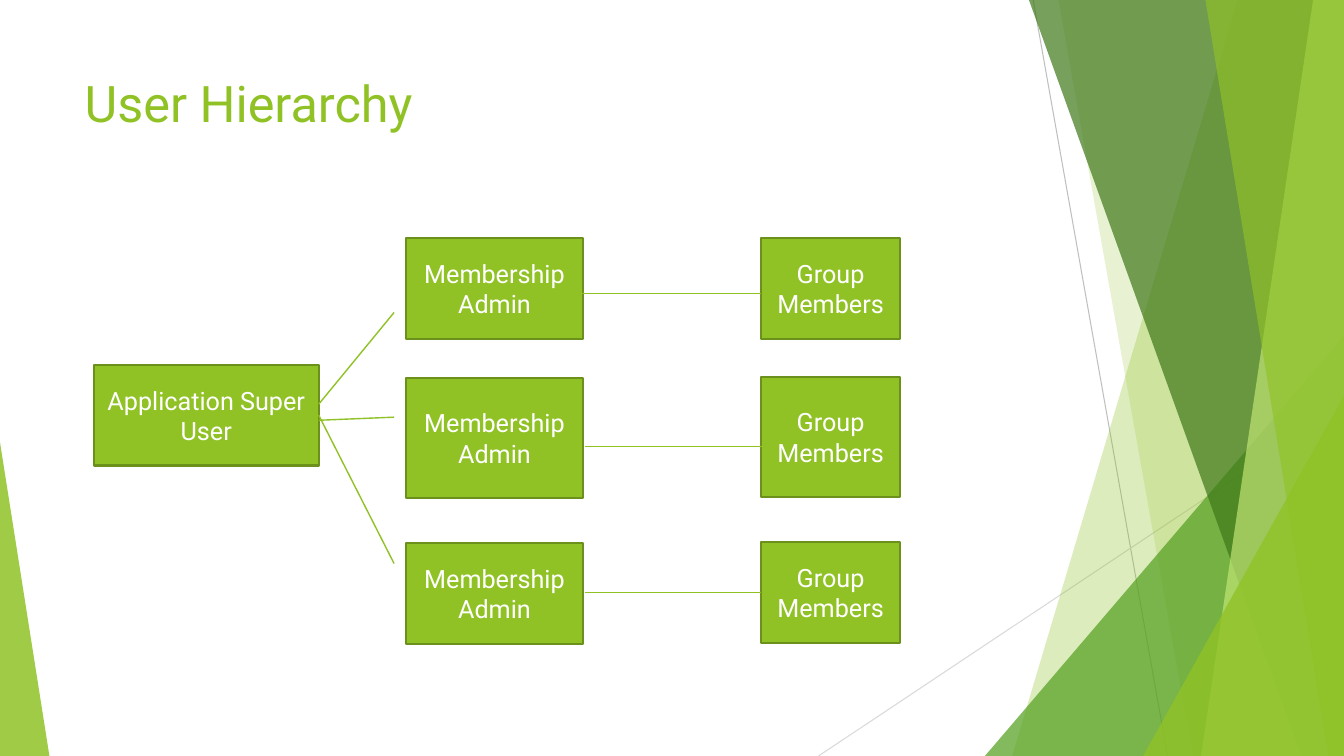
from lxml import etree
from pptx import Presentation
from pptx import util as u
from pptx.dml import color
from pptx.enum import shapes, text
from pptx.oxml import ns

GREEN = "90C226"
WIDTH, HEIGHT = 960, 540
FONT = "Roboto"


def rgb(hex_code):
    return color.RGBColor.from_string(hex_code)


def points(*values):
    return [u.Pt(value) for value in values]


def tint(facet, hex_code, opacity):
    """Fill a facet with a see-through colour and no outline."""
    facet.shadow.inherit = False
    facet.fill.solid()
    facet.fill.fore_color.rgb = rgb(hex_code)
    facet.line.fill.background()
    solid = facet.fill._xPr.find(ns.qn("a:solidFill"))
    etree.SubElement(solid[0], ns.qn("a:alpha"), val=str(opacity * 1000))


def add_line(slide, begin, end, hex_code=GREEN, weight=1):
    line = slide.shapes.add_connector(
        shapes.MSO_CONNECTOR.STRAIGHT, *points(*begin, *end))
    line.line.color.rgb = rgb(hex_code)
    line.line.width = u.Pt(weight)
    etree.SubElement(line._element.spPr, ns.qn("a:effectLst"))
    return line


def add_band(slide, top_left, bottom_left, bottom_right, hex_code, opacity):
    """Band from a slanted left side to the slide's right edge."""
    outline = slide.shapes.build_freeform(*points(top_left, 0))
    corners = [(WIDTH, 0), (bottom_right, HEIGHT), (bottom_left, HEIGHT)]
    outline.add_line_segments([points(*corner) for corner in corners])
    tint(outline.convert_to_shape(), hex_code, opacity)


def add_wedge(slide, left, top, width, apex, hex_code, opacity):
    """Right triangle on the slide's lower edge; apex is 0 left, 1 right."""
    wedge = slide.shapes.add_shape(
        shapes.MSO_SHAPE.ISOSCELES_TRIANGLE,
        *points(left, top, width, HEIGHT - top))
    wedge.adjustments[0] = apex
    tint(wedge, hex_code, opacity)


def draw_backdrop(slide):
    add_line(slide, (738, 0), (834, HEIGHT), "BFBFBF", 0.75)
    add_line(slide, (WIDTH, 290), (584.7, HEIGHT), "D9D9D9", 0.75)
    add_band(slide, 884, 723, WIDTH, GREEN, 30)
    add_band(slide, 756, 852, WIDTH, GREEN, 20)
    add_wedge(slide, 703.5, 240, 256.5, 1, "54A021", 72)
    add_band(slide, 735, 929.5, WIDTH, "3F7819", 70)
    add_band(slide, 938, 858, WIDTH, "C0E474", 70)
    add_band(slide, 861, 949, WIDTH, GREEN, 65)
    add_wedge(slide, 816.5, 283, 143.5, 1, GREEN, 80)
    add_wedge(slide, 0, 316, 35.3, 0, GREEN, 85)


def write(frame, wording, formats, hex_code):
    frame.text = wording
    font = frame.paragraphs[0].runs[0].font
    for name, value in formats.items():
        setattr(font, name, value)
    font.color.rgb = rgb(hex_code)


def place_title(slide, left, top, width, height):
    title = slide.shapes.title
    title.left, title.top, title.width, title.height = points(
        left, top, width, height)
    write(title.text_frame, "User Hierarchy",
          {"size": u.Pt(36), "name": FONT}, GREEN)
    title.text_frame.vertical_anchor = text.MSO_ANCHOR.TOP
    title.text_frame.paragraphs[0].alignment = text.PP_ALIGN.LEFT


def add_role(slide, wording, left, top, width, height):
    role = slide.shapes.add_shape(
        shapes.MSO_SHAPE.RECTANGLE, *points(left, top, width, height))
    role.shadow.inherit = False
    role.fill.solid()
    role.fill.fore_color.rgb = rgb(GREEN)
    role.line.color.rgb = rgb("6B901C")
    role.line.width = u.Pt(1.5)
    frame = role.text_frame
    write(frame, wording, {"size": u.Pt(18), "name": FONT}, "FFFFFF")
    for name, value in {"word_wrap": True,
                        "vertical_anchor": text.MSO_ANCHOR.MIDDLE}.items():
        setattr(frame, name, value)
    frame.paragraphs[0].alignment = text.PP_ALIGN.CENTER
    return role


def draw_hierarchy(slide, left, top):
    """Super user at the left, then one row per admin and its members."""
    user_right = left + 160.7
    admin_left, member_left = left + 223.2, left + 476.6
    branch_end = left + 214.5
    super_user = add_role(slide, "Application Super User",
                          left, top + 90.7, 160.7, 72)
    # admin top, member top, height, branch start, branch end, link y, link span
    rows = [
        (0, 0, 72, 118.8, 53.3, 39.6, (341.3, 476.6)),
        (100, 99.4, 85.7, 130.3, 128.1, 149, (350.6, 486)),
        (218.2, 217.4, 72, 126.7, 232.6, 253.4, (350.6, 476.6)),
    ]
    for (admin_top, member_top, height, branch_from, branch_to,
         link_y, (link_from, link_to)) in rows:
        add_role(slide, "Membership Admin",
                 admin_left, top + admin_top, 126, height)
        members = add_role(slide, "Group Members",
                           member_left, top + member_top, 99.4, height)
        branch = add_line(slide, (user_right, top + branch_from),
                          (branch_end, top + branch_to))
        link = add_line(slide, (left + link_from, top + link_y),
                        (left + link_to, top + link_y))
    # Only the last row's lines end at the middle of a side.
    branch.begin_connect(super_user, 3)
    link.end_connect(members, 1)


def main():
    deck = Presentation()
    deck.slide_width, deck.slide_height = points(WIDTH, HEIGHT)
    slide = deck.slides.add_slide(deck.slide_layouts[5])
    draw_backdrop(slide)
    place_title(slide, 53.3, 48, 676.8, 103.7)
    draw_hierarchy(slide, 67, 169.9)
    deck.save("out.pptx")


if __name__ == "__main__":
    main()
